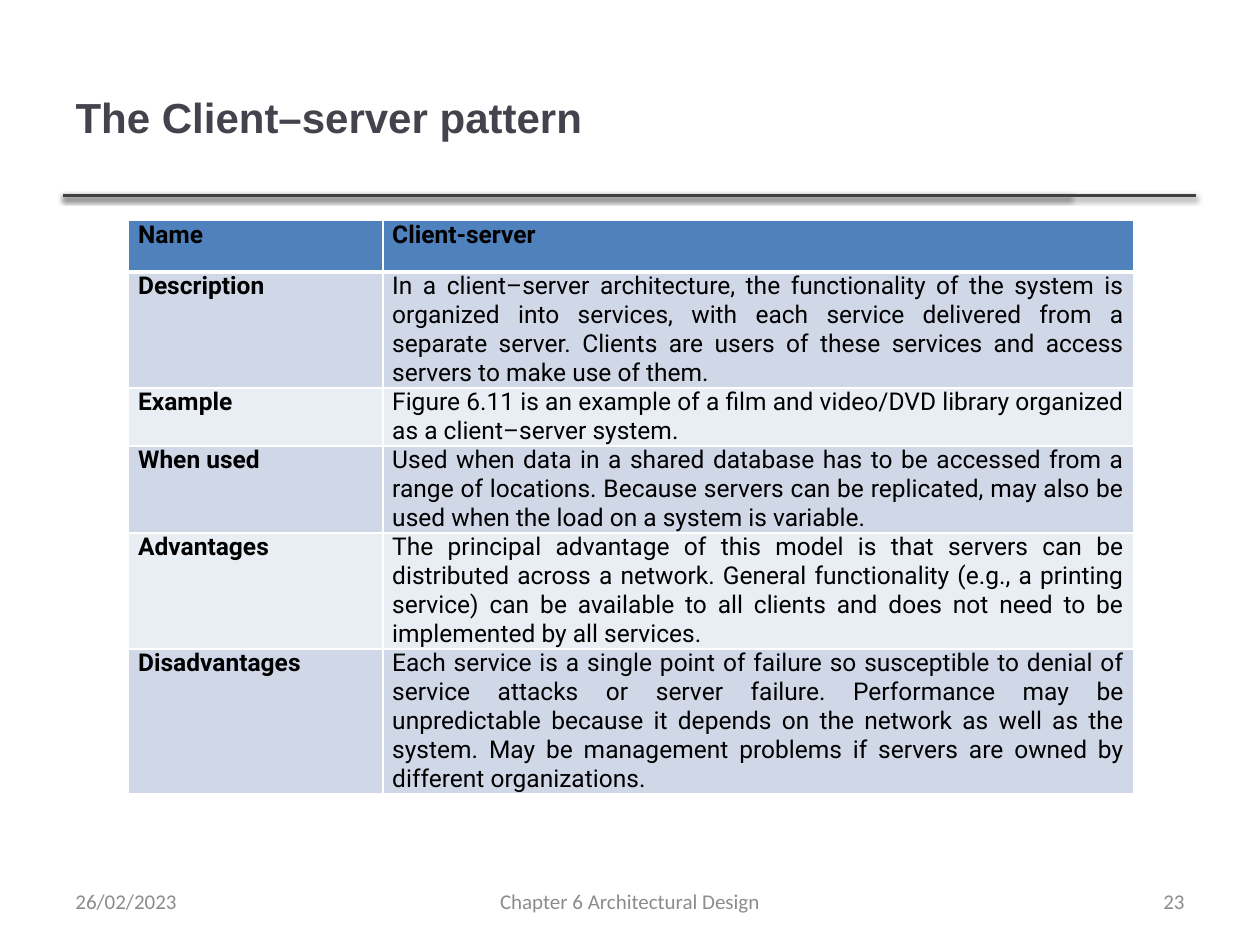
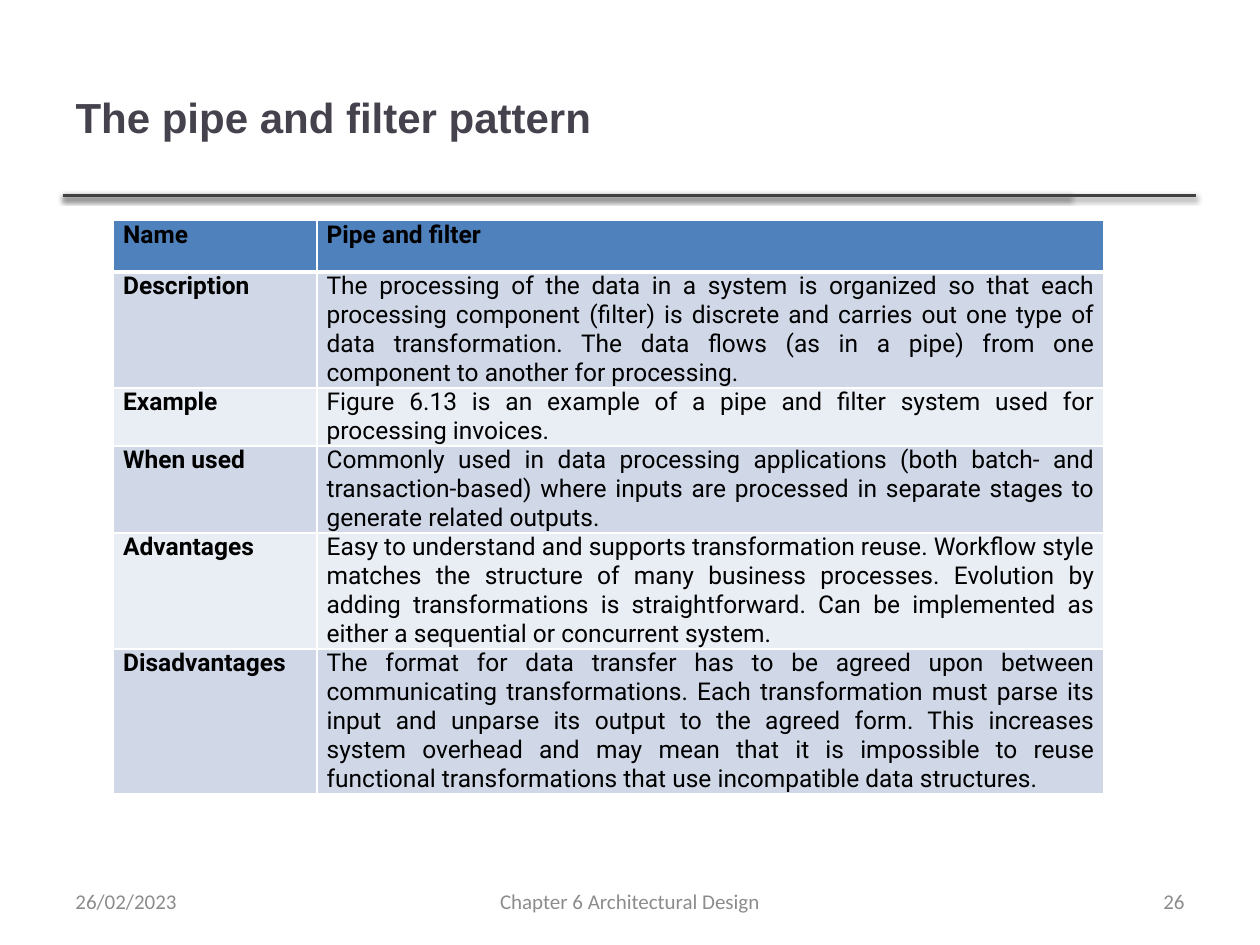
"""Build two slides that sum up architectural patterns in tables."""
from dataclasses import dataclass

from lxml import etree
from pptx import Presentation
from pptx.dml.color import RGBColor
from pptx.enum.shapes import MSO_CONNECTOR
from pptx.enum.text import MSO_ANCHOR, MSO_AUTO_SIZE, PP_ALIGN
from pptx.oxml import parse_xml
from pptx.oxml.ns import nsdecls
from pptx.util import Pt

LEFT, CENTER, RIGHT, JUSTIFY = PP_ALIGN.LEFT, PP_ALIGN.CENTER, PP_ALIGN.RIGHT, PP_ALIGN.JUSTIFY
MIDDLE, TOP = MSO_ANCHOR.MIDDLE, MSO_ANCHOR.TOP
NO_FIT = MSO_AUTO_SIZE.NONE
STRAIGHT = MSO_CONNECTOR.STRAIGHT


@dataclass(frozen=True)
class Theme:
    title: tuple = ("Arial", 24, "46424D")
    cell: tuple = ("Roboto", 14, "000000")
    foot: tuple = ("Calibri", 12, "8C8C8C")
    rule: str = "404040"
    grid: str = "FFFFFF"
    head: str = "4F81BD"
    bands: tuple = ("E9EDF4", "D0D8E8")


theme = Theme()


def write(frame, text, style, align, bold=False):
    face, size, color = style
    para = frame.paragraphs[0]
    para.alignment = align
    run = para.add_run()
    run.text = text
    run.font.name = face
    run.font.size = Pt(size)
    run.font.bold = bold
    run.font.color.rgb = RGBColor.from_string(color)


def edge(cell, side, width):
    cell._tc.get_or_add_tcPr().append(parse_xml(
        f'<a:ln{side} {nsdecls("a")} w="{Pt(width)}"><a:solidFill>'
        f'<a:srgbClr val="{theme.grid}"/></a:solidFill></a:ln{side}>'))


shadow = (
    f'<a:effectLst {nsdecls("a")}><a:outerShdw blurRad="{Pt(3.1)}" dist="{Pt(1.6)}" '
    'dir="5400000" rotWithShape="0"><a:srgbClr val="000000"><a:alpha val="38000"/>'
    '</a:srgbClr></a:outerShdw></a:effectLst>')

labels = ["Name", "Description", "Example", "When used", "Advantages", "Disadvantages"]
lines = [4, 2, 3, 4, 5]
line_high = 16.57
heights = [29.5] + [count * line_high for count in lines]

pages = [
    ("The Client–server pattern", "23", 73.5, (145.25, 429), [
        "Client-server",
        "In a client–server architecture, the functionality of the system is organized into "
        "services, with each service delivered from a separate server. Clients are users of "
        "these services and access servers to make use of them.",
        "Figure 6.11 is an example of a film and video/DVD library organized as a "
        "client–server system.",
        "Used when data in a shared database has to be accessed from a range of locations. "
        "Because servers can be replicated, may also be used when the load on a system is "
        "variable.",
        "The principal advantage of this model is that servers can be distributed across a "
        "network. General functionality (e.g., a printing service) can be available to all "
        "clients and does not need to be implemented by all services.",
        "Each service is a single point of failure so susceptible to denial of service attacks "
        "or server failure. Performance may be unpredictable because it depends on the network "
        "as well as the system. May be management problems if servers are owned by different "
        "organizations.",
    ]),
    ("The pipe and filter pattern", "26", 65, (116.25, 449.75), [
        "Pipe and filter",
        "The processing of the data in a system is organized so that each processing component "
        "(filter) is discrete and carries out one type of data transformation. The data flows "
        "(as in a pipe) from one component to another for processing.",
        "Figure 6.13 is an example of a pipe and filter system used for processing invoices.",
        "Commonly used in data processing applications (both batch- and transaction-based) "
        "where inputs are processed in separate stages to generate related outputs.",
        "Easy to understand and supports transformation reuse. Workflow style matches the "
        "structure of many business processes. Evolution by adding transformations is "
        "straightforward. Can be implemented as either a sequential or concurrent system.",
        "The format for data transfer has to be agreed upon between communicating "
        "transformations. Each transformation must parse its input and unparse its output to "
        "the agreed form. This increases system overhead and may mean that it is impossible to "
        "reuse functional transformations that use incompatible data structures.",
    ]),
]

deck = Presentation()
deck.slide_width, deck.slide_height = Pt(720), Pt(540)

for heading, number, left, widths, facts in pages:
    slide = deck.slides.add_slide(deck.slide_layouts[5])

    for end in (611.5, 683.5):
        rule = slide.shapes.add_connector(STRAIGHT, Pt(36), Pt(111.6), Pt(end), Pt(111.6))
        rule.line.color.rgb = RGBColor.from_string(theme.rule)
        rule.line.width = Pt(2)
        rule._element.spPr.append(etree.fromstring(shadow))

    title = slide.shapes.title
    title.left, title.top, title.width, title.height = Pt(36), Pt(21.6), Pt(574.6), Pt(90)
    title.text_frame.vertical_anchor = MIDDLE
    title.text_frame.auto_size = NO_FIT
    write(title.text_frame, heading, theme.title, LEFT, True)

    table = slide.shapes.add_table(
        len(labels), 2, Pt(left), Pt(126), Pt(sum(widths)), Pt(sum(heights))).table
    for col, width in zip(table.columns, widths):
        col.width = Pt(width)
    for row, pair in enumerate(zip(labels, facts)):
        table.rows[row].height = Pt(heights[row])
        for col, text in enumerate(pair):
            cell = table.cell(row, col)
            cell.margin_left = cell.margin_right = Pt(5.4)
            cell.margin_top = cell.margin_bottom = 0
            cell.vertical_anchor = TOP
            for side in "LRTB":
                thick = (row, side) in ((0, "B"), (1, "T"))
                edge(cell, side, 3 if thick else 1)
            cell.fill.solid()
            fill = theme.bands[row % 2] if row else theme.head
            cell.fill.fore_color.rgb = RGBColor.from_string(fill)
            write(cell.text_frame, text, theme.cell, JUSTIFY, row == 0 or col == 0)

    for text, x, width, align in (
            ("Chapter 6 Architectural Design", 246, 228, CENTER),
            (number, 516, 168, RIGHT),
            ("26/02/2023", 36, 168, LEFT)):
        foot = slide.shapes.add_textbox(Pt(x), Pt(500.5), Pt(width), Pt(28.75)).text_frame
        foot.word_wrap = True
        foot.vertical_anchor = MIDDLE
        write(foot, text, theme.foot, align)

deck.save("out.pptx")
